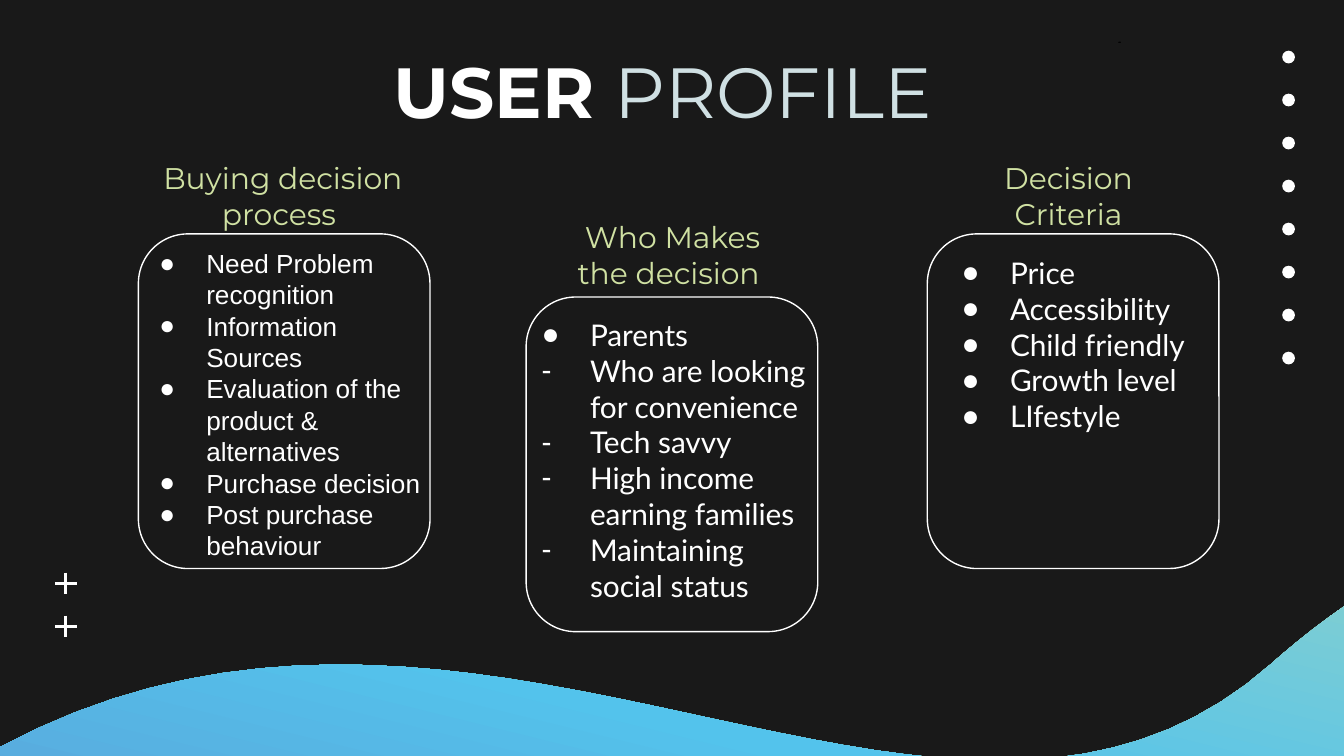
from math import cos, radians, sin
from typing import NamedTuple

from lxml.etree import SubElement
from pptx import Presentation
from pptx.dml.color import RGBColor
from pptx.enum.shapes import MSO_CONNECTOR, MSO_SHAPE
from pptx.enum.text import MSO_ANCHOR, MSO_AUTO_SIZE, PP_ALIGN
from pptx.oxml.ns import qn
from pptx.util import Inches, Pt

WIDTH = Inches(10)
HEIGHT = WIDTH * 9 // 16
COLUMNS = 100
UNIT = WIDTH / COLUMNS
COLOURS = {
    "night": "191919", "white": "FFFFFF", "lime": "D0E1A3", "mist": "D0E0E3",
    "speck": "020203", "sky": "53C3EC", "blue": "5C9CD5", "violet": "6E66AB",
}
FRAME = {"word_wrap": True, "auto_size": MSO_AUTO_SIZE.NONE} | dict.fromkeys(
    ("margin_left", "margin_top", "margin_right", "margin_bottom"), Inches(0.1))
TIGHT = {"space_before": Pt(0), "space_after": Pt(0), "line_spacing": 1.0}


class Area(NamedTuple):
    column: float
    row: float
    columns: float
    rows: float


class Span(NamedTuple):
    text: str
    font: str
    size: float
    colour: str
    bold: bool = False


class Card(NamedTuple):
    holder: int
    outline: Area
    heading_area: Area
    heading: list[str]
    list_area: Area
    items: list[str]
    font: str = "Lato"
    size: float = 16
    indent: float = 0.36
    marks: str = "●"


CARDS = [
    Card(2, Area(10.3, 17.4, 21.7, 24.9), Area(7.8, 12.1, 26.5, 4.9),
         ["Buying decision process "], Area(9.35, 17.4, 23.5, 24.9),
         ["Need Problem recognition", "Information Sources",
          "Evaluation of the product & alternatives", "Purchase decision",
          "Post purchase behaviour"], "Arial", 14, 0.35),
    Card(4, Area(69, 17.4, 21.7, 24.9), Area(69.5, 12.1, 20.6, 4.9),
         ["Decision ", "Criteria "], Area(69.15, 17.95, 23.5, 15),
         ["Price", "Accessibility", "Child friendly", "Growth level", "LIfestyle"]),
    Card(1, Area(39.15, 22.1, 21.7, 24.9), Area(39.2, 16.5, 21.7, 4.9),
         ["Who Makes", "the decision "], Area(37.9, 22.55, 23.5, 23.6),
         ["Parents", "Who are looking for convenience", "Tech savvy",
          "High income earning families", "Maintaining social status"],
         marks="●----"),
]
WAVE_CENTRE = (63.45, 61.85)
WAVE_TURN = 13.8
WAVE_CURVES = [
    [(111.6, 39.5), (106.3, 40.6), (99.4, 45.1), (94.6, 49.4)],
    [(94.6, 49.4), (70.1, 71.1), (34.2, 34.6), (-2.6, 57.1)],
    [(-7.8, 78.4)],
    [(25, 86.5), (33.5, 80.7), (72.7, 76), (80.3, 76.3)],
    [(80.3, 76.3), (115.6, 77.7), (118, 81.7), (125.7, 81.9)],
]
WAVE_STOPS = [(0, "lime"), (46, "sky"), (66, "blue"), (100, "violet")]


def grid(value: float) -> int:
    return round(value * UNIT)


def colour(name: str) -> RGBColor:
    return RGBColor.from_string(COLOURS[name])


def apply(target, values: dict) -> None:
    for name, value in values.items():
        setattr(target, name, value)


def paint(shape, fill: str, line: str | None = None) -> None:
    shape.shadow.inherit = False
    shape.fill.solid()
    shape.fill.fore_color.rgb = colour(fill)
    if line:
        shape.line.width = Pt(0.75)
        shape.line.color.rgb = colour(line)
    else:
        shape.line.fill.background()


def add_preset(page, kind, area: Area, fill: str, line: str | None = None):
    shape = page.shapes.add_shape(kind, *map(grid, area))
    paint(shape, fill, line)
    return shape


def add_line(page, start: tuple, end: tuple) -> None:
    line = page.shapes.add_connector(MSO_CONNECTOR.STRAIGHT, *map(grid, start + end))
    line.line.width = Pt(1.5)
    line.line.color.rgb = colour("white")
    SubElement(line._element.spPr, qn("a:effectLst"))


def bezier(points: list[tuple], steps: int = 40) -> list[tuple]:
    if len(points) == 1:
        return points
    curve = []
    for step in range(steps + 1):
        t = step / steps
        weights = ((1 - t) ** 3, 3 * t * (1 - t) ** 2, 3 * t * t * (1 - t), t ** 3)
        curve.append(tuple(sum(w * p[axis] for w, p in zip(weights, points))
                           for axis in (0, 1)))
    return curve


def unturn(point: tuple) -> tuple:
    angle = radians(WAVE_TURN)
    x, y = (value - centre for value, centre in zip(point, WAVE_CENTRE))
    return (grid(WAVE_CENTRE[0] + x * cos(angle) + y * sin(angle)),
            grid(WAVE_CENTRE[1] - x * sin(angle) + y * cos(angle)))


def add_wave(page) -> None:
    points = [unturn(point) for curve in WAVE_CURVES for point in bezier(curve)]
    builder = page.shapes.build_freeform(*points[0])
    builder.add_line_segments(points[1:], close=True)
    wave = builder.convert_to_shape()
    paint(wave, "sky")
    wave.rotation = WAVE_TURN
    wave.fill.gradient()
    gradient = wave._element.spPr.find(qn("a:gradFill"))
    for child in list(gradient):
        gradient.remove(child)
    stops = SubElement(gradient, qn("a:gsLst"))
    for share, name in WAVE_STOPS:
        stop = SubElement(stops, qn("a:gs"), pos=str(share * 1000))
        SubElement(stop, qn("a:srgbClr"), val=COLOURS[name])
    SubElement(gradient, qn("a:lin"), ang="5400000", scaled="0")


def place(box, area: Area, anchor) -> None:
    apply(box, dict(zip(("left", "top", "width", "height"), map(grid, area))))
    apply(box.text_frame, FRAME | {"vertical_anchor": anchor})
    box.element.getparent().append(box.element)


def add_bullet(para, mark: str, indent: float) -> None:
    properties = para._p.get_or_add_pPr()
    properties.set("marL", str(Inches(0.5)))
    properties.set("indent", str(-Inches(indent)))
    tint = SubElement(properties, qn("a:buClr"))
    SubElement(tint, qn("a:srgbClr"), val=COLOURS["white"])
    SubElement(properties, qn("a:buChar"), char=mark)


def write(para, spans: list[Span], alignment) -> None:
    apply(para, TIGHT | {"alignment": alignment})
    for span in spans:
        run = para.add_run()
        run.text = span.text
        apply(run.font, {"name": span.font, "size": Pt(span.size), "bold": span.bold})
        run.font.color.rgb = colour(span.colour)


def paragraphs(box, count: int) -> list:
    frame = box.text_frame
    return [frame.paragraphs[0]] + [frame.add_paragraph() for _ in range(count - 1)]


def add_card(page, card: Card) -> None:
    outline = add_preset(page, MSO_SHAPE.ROUNDED_RECTANGLE, card.outline, "night", "white")
    outline.adjustments[0] = 0.17
    box = page.placeholders[card.holder]
    place(box, card.list_area, MSO_ANCHOR.TOP)
    marks = card.marks.ljust(len(card.items), card.marks[-1])
    for para, item, mark in zip(paragraphs(box, len(card.items)), card.items, marks):
        add_bullet(para, mark, card.indent)
        write(para, [Span(item, card.font, card.size, "white")], PP_ALIGN.LEFT)
    heading = page.shapes.add_textbox(*map(grid, card.heading_area))
    place(heading, card.heading_area, MSO_ANCHOR.MIDDLE)
    for para, text in zip(paragraphs(heading, len(card.heading)), card.heading):
        write(para, [Span(text, "Montserrat", 16, "lime")], PP_ALIGN.CENTER)


deck = Presentation()
apply(deck, {"slide_width": WIDTH, "slide_height": HEIGHT})
page = deck.slides.add_slide(deck.slide_layouts.get_by_name("Comparison"))
page.background.fill.solid()
page.background.fill.fore_color.rgb = colour("night")
spare = page.placeholders[3].element
spare.getparent().remove(spare)

add_preset(page, MSO_SHAPE.OVAL, Area(83.2, 3.1, 0.2, 0.1), "speck")
add_wave(page)
for index in range(8):
    add_preset(page, MSO_SHAPE.OVAL, Area(95.4, 3.77 + 3.2 * index, 0.95, 0.95), "white")
for row in (43.4, 46.6):
    add_line(page, (4.1, row), (5.7, row))
    add_line(page, (4.9, row - 0.8), (4.9, row + 0.8))

title = page.shapes.title
place(title, Area(10.1, 2.55, 79.8, 9.1), MSO_ANCHOR.TOP)
write(title.text_frame.paragraphs[0],
      [Span("USER ", "Montserrat", 38, "white", True),
       Span("PROFILE ", "Montserrat", 38, "mist")], PP_ALIGN.CENTER)
for card in CARDS:
    add_card(page, card)
deck.save("out.pptx")
